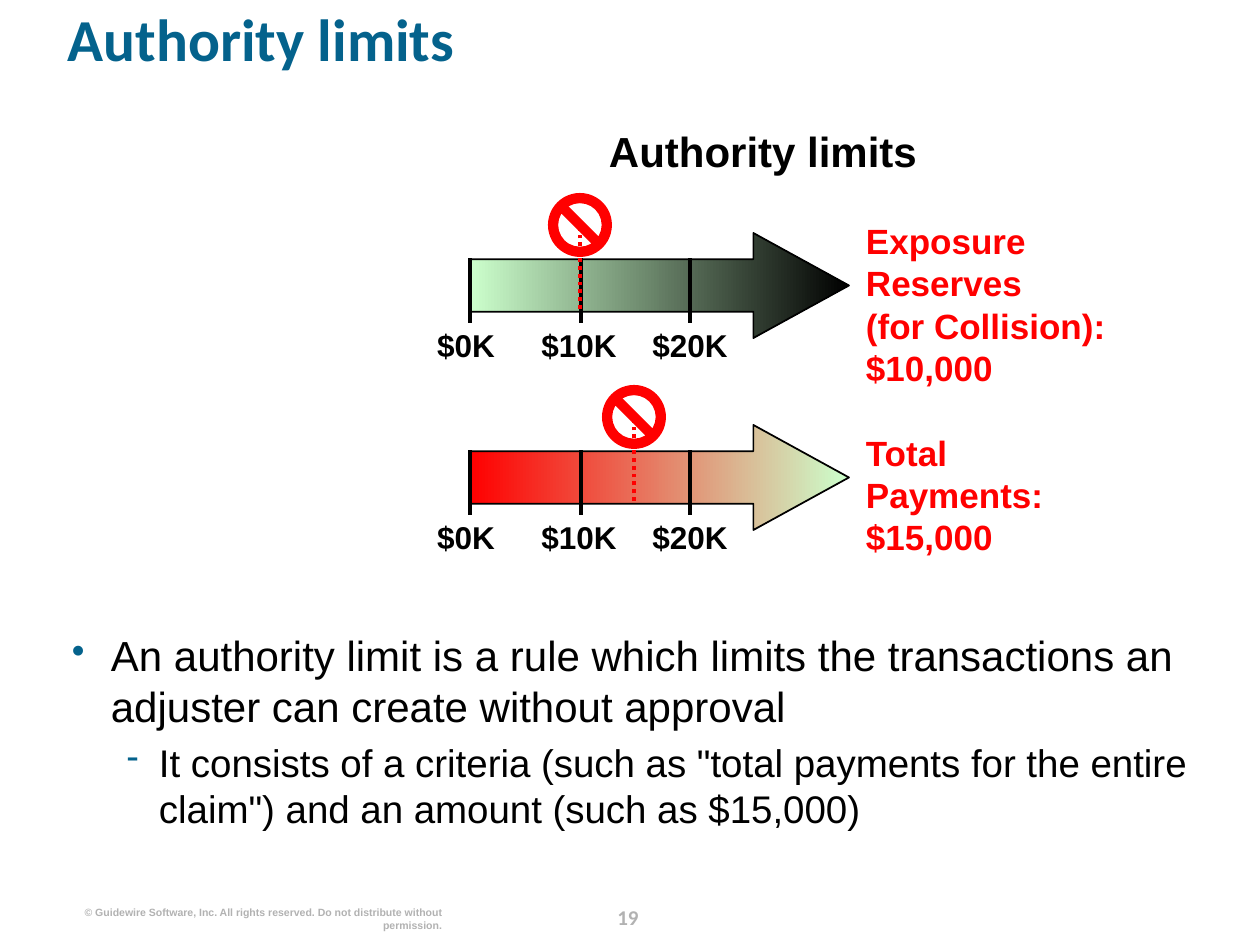
"""Build the slide explaining authority limits on two dollar scales."""
from lxml.etree import SubElement
from pptx import Presentation
from pptx.dml.color import RGBColor
from pptx.enum.dml import MSO_LINE
from pptx.enum.shapes import MSO_CONNECTOR, MSO_SHAPE
from pptx.enum.text import PP_ALIGN
from pptx.oxml.ns import qn
from pptx.util import Pt

PX = 914400 / 126
BLACK = RGBColor(0x00, 0x00, 0x00)
RED = RGBColor(0xFF, 0x00, 0x00)
MINT = RGBColor(0xCC, 0xFF, 0xCC)
BLUE = RGBColor(0x04, 0x62, 0x8C)
GRAY = RGBColor(0xB2, 0xB2, 0xB2)

deck = Presentation()
deck.slide_width, deck.slide_height = round(1260 * PX), round(945 * PX)
slide = deck.slides.add_slide(deck.slide_layouts[6])


def add_text(box, text, size, color, align=PP_ALIGN.LEFT, font="Arial", bold=True):
    frame = slide.shapes.add_textbox(*(round(n * PX) for n in box)).text_frame
    frame.word_wrap = True
    frame.margin_left = frame.margin_right = frame.margin_top = frame.margin_bottom = 0
    paragraph = frame.paragraphs[0]
    paragraph.text = text
    paragraph.alignment = align
    paragraph.font.name = font
    paragraph.font.size = Pt(size)
    paragraph.font.bold = bold
    paragraph.font.color.rgb = color
    return frame


def add_vertical(x, bottom, top, color, dash=None):
    line = slide.shapes.add_connector(
        MSO_CONNECTOR.STRAIGHT, *(round(n * PX) for n in (x, bottom, x, top)))
    line.line.color.rgb = color
    line.line.width = Pt(2.25)
    if dash:
        line.line.dash_style = dash
    SubElement(line._element.spPr, qn("a:effectLst"))


page_number = add_text((592, 898, 72, 32), "19", 12, GRAY, PP_ALIGN.CENTER, "Calibri")
page_number.paragraphs[0].line_spacing = Pt(18)
add_text((77, 906, 365, 26),
         "© Guidewire Software, Inc. All rights reserved. Do not distribute without permission.",
         6, GRAY, PP_ALIGN.RIGHT)
title = add_text((68, 16, 1147, 102), "Authority limits", 34, BLUE, font="Calibri")
title.paragraphs[0].line_spacing = 0.8

rule_text = add_text(
    (72, 630, 1147, 237),
    "An authority limit is a rule which limits the transactions an adjuster can create without approval",
    24, BLACK, bold=False)
criteria = rule_text.add_paragraph()
criteria.text = 'It consists of a criteria (such as "total payments for the entire claim") and an amount (such as $15,000)'
criteria.level = 1
criteria.space_before = Pt(4.5)
for paragraph, mark, indent, hanging, size in (
        (rule_text.paragraphs[0], "•", 39, 39, 24), (criteria, "-", 87, 32, 22)):
    properties = paragraph._p.get_or_add_pPr()
    properties.set("marL", str(round(indent * PX)))
    properties.set("indent", str(round(-hanging * PX)))
    bullet_color = SubElement(properties, qn("a:buClr"))
    SubElement(bullet_color, qn("a:srgbClr"), val=str(BLUE))
    SubElement(properties, qn("a:buSzPct"), val="90000")
    SubElement(properties, qn("a:buChar"), char=mark)
    paragraph.font.name = "Arial"
    paragraph.font.size = Pt(size)
    paragraph.font.color.rgb = BLACK

add_text((474, 126, 578, 50), "Authority limits", 24, BLACK, PP_ALIGN.CENTER)

scales = (
    (233, MINT, BLACK, 580, "Exposure\nReserves\n(for Collision):\n$10,000", (866, 220, 247, 168)),
    (425, RED, MINT, 634, "Total\nPayments:\n$15,000", (866, 431, 215, 126)),
)
for top, start_color, end_color, limit_x, caption, caption_box in scales:
    arrow = slide.shapes.add_shape(
        MSO_SHAPE.RIGHT_ARROW, *(round(n * PX) for n in (470, top, 379, 105)))
    arrow.shadow.inherit = False
    arrow.adjustments[0], arrow.adjustments[1] = 0.5, 0.91
    arrow.fill.gradient()
    arrow.fill.gradient_angle = 0
    for stop, color, position in zip(arrow.fill.gradient_stops, (start_color, end_color), (0, 1)):
        stop.color.rgb = color
        stop.position = position
    arrow.line.color.rgb = BLACK
    arrow.line.width = Pt(1)

    for amount, tick_x, label_x in (("$0K", 470, 466), ("$10K", 581, 579), ("$20K", 690, 690)):
        add_text((label_x - 61, top + 93, 122, 38), amount, 18, BLACK, PP_ALIGN.CENTER)
        add_vertical(tick_x, top + 90, top + 25, BLACK)
    add_vertical(limit_x, top + 76, top - 9, RED, MSO_LINE.ROUND_DOT)

    stop_sign = slide.shapes.add_shape(
        MSO_SHAPE.NO_SYMBOL, *(round(n * PX) for n in (limit_x - 32, top - 40, 64, 64)))
    stop_sign.shadow.inherit = False
    stop_sign.adjustments[0] = 0.16
    stop_sign.fill.solid()
    stop_sign.fill.fore_color.rgb = RED
    stop_sign.line.fill.background()
    add_text(caption_box, caption, 20, RED)

deck.save("out.pptx")
